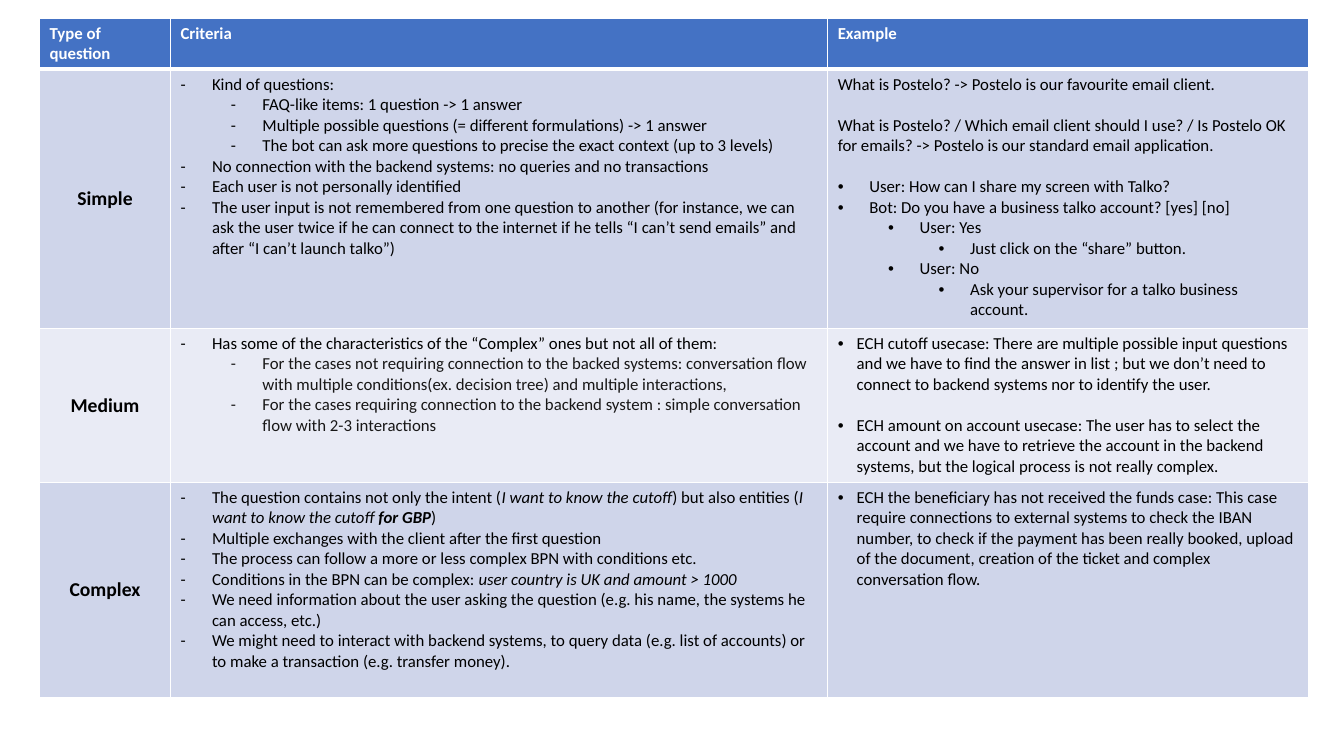
from dataclasses import dataclass
from lxml.etree import SubElement
from pptx import Presentation
from pptx.dml.color import RGBColor
from pptx.enum.text import MSO_ANCHOR as Anchor, PP_ALIGN as Align
from pptx.oxml.ns import qn
from pptx.util import Pt


@dataclass(frozen=True)
class Theme:
    """Colours, font and type sizes of the slide."""
    font: str = "Calibri"
    body_size: float = 12
    label_size: float = 14
    line_height: float = 14.65
    white: str = "FFFFFF"
    black: str = "000000"
    soft_black: str = "181717"
    header_fill: str = "4472C4"
    dark_band: str = "CFD5EA"
    light_band: str = "E9EBF5"


@dataclass(frozen=True)
class Item:
    """One paragraph, with its marker, level and spacing."""
    text: str = ""
    level: int = 0
    marker: str = ""
    hang: float = 22.5
    gap_after: float = 0
    color: str = ""
    runs: tuple = ()


THEME = Theme()
ITALIC = {"italic": True}
COLUMN_WIDTHS = (93.5, 469.5, 343.5)
ROW_HEIGHTS = (36, 185, 110, 153.5)
HEADERS = ("Type of question", "Criteria", "Example")


def dash(text="", level=0, **options):
    """Return an item marked with a dash."""
    return Item(text, level, "-", **options)


def dot(text, level=0, **options):
    """Return an item marked with a round bullet."""
    return Item(text, level, "•", **options)


SIMPLE_CRITERIA = (
    dash("Kind of questions:"),
    dash("FAQ-like items: 1 question -> 1 answer", 1),
    dash("Multiple possible questions (= different formulations) -> 1 answer", 1),
    dash("The bot can ask more questions to precise the exact context (up to 3 levels)", 1),
    dash("No connection with the backend systems: no queries and no transactions"),
    dash("Each user is not personally identified"),
    dash("The user input is not remembered from one question to another (for instance, we can "
         "ask the user twice if he can connect to the internet if he tells “I can’t send emails” "
         "and after “I can’t launch talko”)"),
)
SIMPLE_EXAMPLES = (
    Item("What is Postelo? -> Postelo is our favourite email client.",
         gap_after=THEME.line_height),
    Item("What is Postelo? / Which email client should I use? / Is Postelo OK for emails? -> "
         "Postelo is our standard email application.", gap_after=THEME.line_height),
    dot("User: How can I share my screen with Talko?"),
    dot("Bot: Do you have a business talko account? [yes] [no]"),
    dot("User: Yes", 1),
    dot("Just click on the “share” button.", 2),
    dot("User: No", 1),
    dot("Ask your supervisor for a talko business account.", 2),
)
MEDIUM_CRITERIA = (
    dash("Has some of the characteristics of the “Complex” ones but not all of them:"),
    dash("For the cases not requiring connection to the backed systems: conversation flow with "
         "multiple conditions(ex. decision tree) and multiple interactions,", 1,
         color=THEME.soft_black),
    dash("For the cases requiring connection to the backend system : simple conversation flow "
         "with 2-3 interactions", 1, color=THEME.soft_black),
)
MEDIUM_EXAMPLES = (
    dot("ECH cutoff usecase: There are multiple possible input questions and we have to find the "
        "answer in list ; but we don’t need to connect to backend systems nor to identify the "
        "user.", hang=13.5, gap_after=THEME.line_height),
    dot("ECH amount on account usecase: The user has to select the account and we have to "
        "retrieve the account in the backend systems, but the logical process is not really "
        "complex.", hang=13.5),
)
COMPLEX_CRITERIA = (
    dash(runs=(("The question contains not only the intent (", {}),
               ("I want to know the cutoff", ITALIC), (") but also entities (", {}),
               ("I want to know the cutoff ", ITALIC),
               ("for GBP", {"italic": True, "bold": True}), (")", {}))),
    dash("Multiple exchanges with the client after the first question"),
    dash("The process can follow a more or less complex BPN with conditions etc."),
    dash(runs=(("Conditions in the BPN can be complex: ", {}),
               ("user country is UK and amount > 1000", ITALIC))),
    dash("We need information about the user asking the question (e.g. his name, the systems he "
         "can access, etc.)"),
    dash("We might need to interact with backend systems, to query data (e.g. list of accounts) "
         "or to make a transaction (e.g. transfer money)."),
)
COMPLEX_EXAMPLES = (
    dot("ECH the beneficiary has not received the funds case: This case require connections to "
        "external systems to check the IBAN number, to check if the payment has been really "
        "booked, upload of the document, creation of the ticket and complex conversation flow.",
        hang=13.5),
)
QUESTION_TYPES = (
    ("Simple", SIMPLE_CRITERIA, SIMPLE_EXAMPLES, THEME.dark_band),
    ("Medium", MEDIUM_CRITERIA, MEDIUM_EXAMPLES, THEME.light_band),
    ("Complex", COMPLEX_CRITERIA, COMPLEX_EXAMPLES, THEME.dark_band),
)


def style_cell(cell, fill, bottom_width=1, top_width=1):
    """Give a cell its white borders and its fill."""
    properties = cell._tc.get_or_add_tcPr()
    for side, width in {"L": 1, "R": 1, "T": top_width, "B": bottom_width}.items():
        line = SubElement(properties, qn(f"a:ln{side}"), w=str(Pt(width)))
        SubElement(SubElement(line, qn("a:solidFill")), qn("a:srgbClr"), val=THEME.white)
    cell.fill.solid()
    cell.fill.fore_color.rgb = RGBColor.from_string(fill)


def mark_paragraph(paragraph, item):
    """Indent a paragraph by its level and add its marker."""
    properties = paragraph._p.get_or_add_pPr()
    properties.set("marL", str(Pt(item.hang + 36 * item.level)))
    properties.set("indent", str(-Pt(item.hang)))
    SubElement(properties, qn("a:buFont"), typeface="Arial" if item.marker == "•" else THEME.font)
    SubElement(properties, qn("a:buChar"), char=item.marker)


def write_cell(cell, items, color=THEME.black, size=THEME.body_size, bold=False, align=Align.LEFT):
    """Write the items into a cell, one paragraph each."""
    frame = cell.text_frame
    for index, item in enumerate(items):
        paragraph = frame.add_paragraph() if index else frame.paragraphs[0]
        paragraph.alignment = align
        paragraph.level = item.level
        if item.gap_after:
            paragraph.space_after = Pt(item.gap_after)
        if item.marker:
            mark_paragraph(paragraph, item)
        for text, changes in item.runs or ((item.text, {}),):
            run = paragraph.add_run()
            run.text = text
            values = {"name": THEME.font, "size": Pt(size), "bold": bold, "italic": False}
            for name, value in (values | changes).items():
                setattr(run.font, name, value)
            run.font.color.rgb = RGBColor.from_string(item.color or color)


def add_question_table(slide, left, top):
    """Place the table of question types with its corner at left, top."""
    frame = slide.shapes.add_table(len(ROW_HEIGHTS), len(COLUMN_WIDTHS), Pt(left), Pt(top),
                                   Pt(sum(COLUMN_WIDTHS)), Pt(sum(ROW_HEIGHTS)))
    table = frame.table
    for column, width in zip(table.columns, COLUMN_WIDTHS):
        column.width = Pt(width)
    for row, height in zip(table.rows, ROW_HEIGHTS):
        row.height = Pt(height)
    for column, header in enumerate(HEADERS):
        cell = table.cell(0, column)
        style_cell(cell, THEME.header_fill, bottom_width=3)
        write_cell(cell, [Item(header)], color=THEME.white, bold=True)
    for row, (label, criteria, examples, band) in enumerate(QUESTION_TYPES, 1):
        label_cell, criteria_cell, example_cell = table.rows[row].cells
        for cell in (label_cell, criteria_cell, example_cell):
            style_cell(cell, band, top_width=3 if row == 1 else 1)
        label_cell.vertical_anchor = Anchor.MIDDLE
        write_cell(label_cell, [Item(label)], size=THEME.label_size, bold=True, align=Align.CENTER)
        write_cell(criteria_cell, criteria)
        write_cell(example_cell, examples)


presentation = Presentation()
presentation.slide_width, presentation.slide_height = Pt(960), Pt(540)
slide = presentation.slides.add_slide(presentation.slide_layouts[6])
add_question_table(slide, left=28.25, top=13)
presentation.save("out.pptx")
